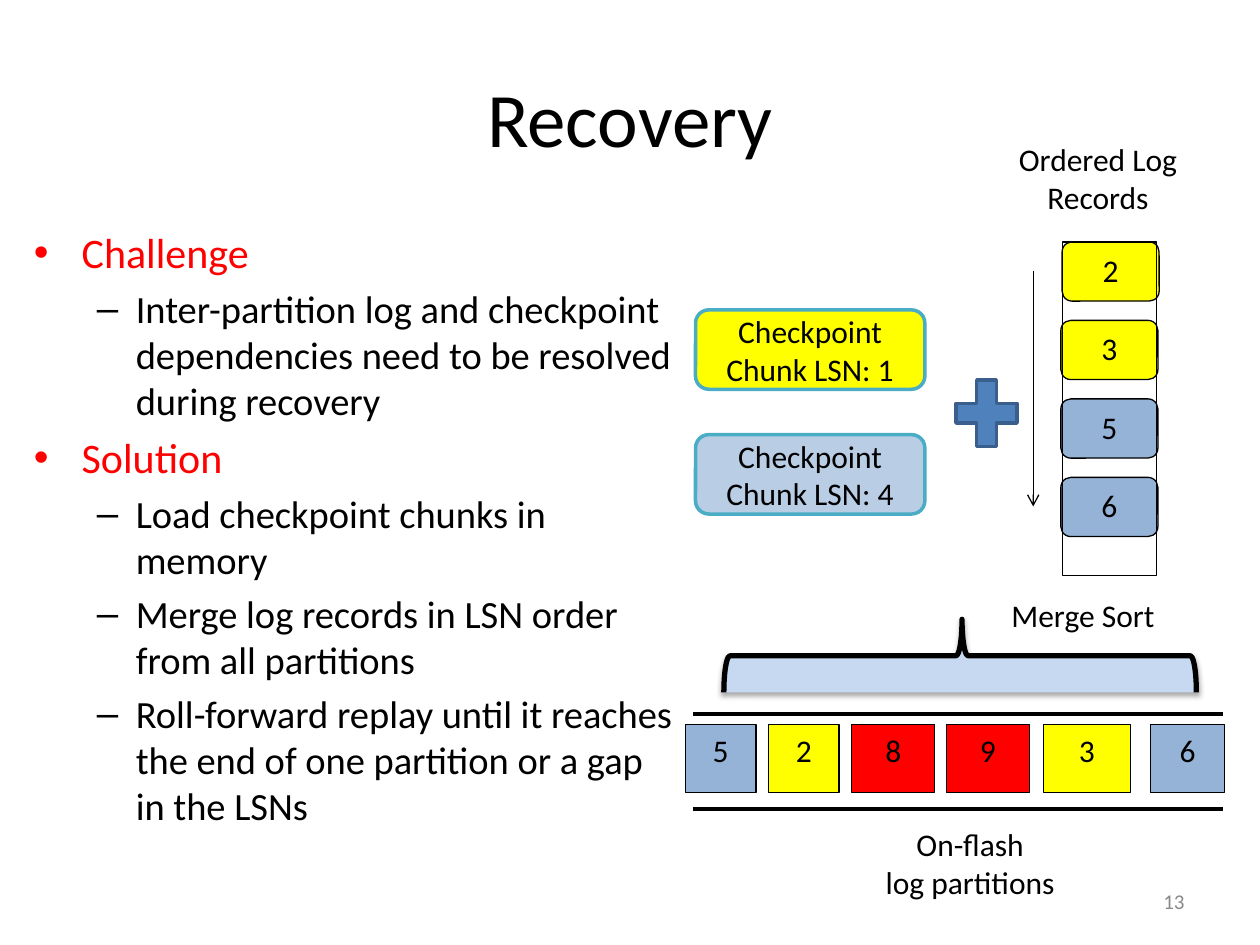
from lxml.etree import SubElement
from pptx import Presentation
from pptx.dml.color import RGBColor
from pptx.enum.shapes import MSO_CONNECTOR, MSO_SHAPE
from pptx.enum.text import MSO_ANCHOR, PP_ALIGN
from pptx.oxml.ns import qn
from pptx.util import Inches, Pt

THEME = {
    "font": "Calibri",
    "black": "000000", "red": "FF0000", "yellow": "FFFF00", "blue": "95B3D7",
    "pale": "B9CDE5", "brace": "C6D9F1", "teal": "4BACC6",
    "plus": "4F81BD", "plus_edge": "3A5F8C", "grey": "898989",
    "title": 44, "topic": 24, "point": 22, "label": 18, "number": 12,
    "thin": 0.75, "medium": 2, "rule": 2.25, "thick": 3,
}

# Content; every place is column, row, columns, rows on a 100 x 75 grid
COLUMNS, ROWS = 100, 75
OUTLINE = [
    ("Challenge", [
        "Inter-partition log and checkpoint dependencies need to be resolved during recovery"]),
    ("Solution", [
        "Load checkpoint chunks in memory",
        "Merge log records in LSN order from all partitions",
        "Roll-forward replay until it reaches the end of one partition or a gap in the LSNs"]),
]
CHECKPOINTS = [("1", "yellow"), ("4", "pale")]
ORDERED_RECORDS = [("2", "yellow", 84.3), ("3", "yellow", 84.2),
                   ("5", "blue", 84.2), ("6", "blue", 84.2)]
FLASH_RECORDS = [("5", "blue", 54.4, 5.6), ("2", "yellow", 61, 5.6),
                 ("8", "red", 67.6, 6.6), ("9", "red", 75.1, 6.6),
                 ("3", "yellow", 82.8, 6.9), ("6", "blue", 91.3, 5.9)]
LABELS = [(["Ordered Log", "Records"], (79.5, 10.6, 15.3, 7.1)),
          (["Merge Sort"], (79.2, 46.8, 13.5, 4)),
          (["On-flash", "log partitions"], (69.2, 65, 15.6, 7.1))]
FLASH_RULE_ROWS = [56.7, 64.2]

prs = Presentation()
prs.slide_width, prs.slide_height = Inches(10), Inches(7.5)
slide = prs.slides.add_slide(prs.slide_layouts[6])
shapes = slide.shapes


def grid(*lengths):
    units = (prs.slide_width / COLUMNS, prs.slide_height / ROWS)
    return [round(length * units[i % 2]) for i, length in enumerate(lengths)]


def colour(name):
    return RGBColor.from_string(THEME[name])


def apply(target, formats):
    for attribute, value in formats.items():
        setattr(target, attribute, value)


def style_run(paragraph, text, size, ink="black"):
    run = paragraph.add_run()
    run.text = text
    apply(run.font, {"name": THEME["font"], "size": Pt(THEME[size])})
    run.font.color.rgb = colour(ink)


def write(holder, lines, size="label", ink="black", align=PP_ALIGN.CENTER,
          anchor=MSO_ANCHOR.TOP, wrap=True):
    frame = holder.text_frame
    apply(frame, {"word_wrap": wrap, "vertical_anchor": anchor})
    for i, line in enumerate(lines):
        paragraph = frame.add_paragraph() if i else frame.paragraphs[0]
        paragraph.alignment = align
        style_run(paragraph, line, size, ink)


def draw(kind, place, fill=None, edge="black", weight="thin"):
    part = shapes.add_shape(kind, *grid(*place))
    part.shadow.inherit = False
    if fill:
        part.fill.solid()
        part.fill.fore_color.rgb = colour(fill)
    else:
        part.fill.background()
    part.line.color.rgb = colour(edge)
    part.line.width = Pt(THEME[weight])
    return part


def connect(start, end, weight):
    line = shapes.add_connector(MSO_CONNECTOR.STRAIGHT, *grid(*start, *end))
    line.line.color.rgb = colour("black")
    line.line.width = Pt(THEME[weight])
    SubElement(line._element.spPr, qn("a:effectLst"))
    return line


def add_bullet(paragraph, text, mark, size, ink, left, hanging):
    apply(paragraph, {"space_before": Pt(THEME[size] * 0.2)})
    props = paragraph._p.get_or_add_pPr()
    props.set("marL", str(Inches(left)))
    props.set("indent", str(-Inches(hanging)))
    SubElement(props, qn("a:buFont"), typeface="Arial")
    SubElement(props, qn("a:buChar"), char=mark)
    style_run(paragraph, text, size, ink)


# Title and slide number
write(shapes.add_textbox(*grid(5, 3, 90, 12.5)), ["Recovery"], "title",
      anchor=MSO_ANCHOR.MIDDLE)
write(shapes.add_textbox(*grid(71.7, 69.5, 23.3, 4)), ["13"], "number", "grey",
      PP_ALIGN.RIGHT, MSO_ANCHOR.MIDDLE)

# Outline
outline = shapes.add_textbox(*grid(1.7, 17.5, 53.3, 54)).text_frame
outline.word_wrap = True
for i, (topic, points) in enumerate(OUTLINE):
    heading = outline.add_paragraph() if i else outline.paragraphs[0]
    add_bullet(heading, topic, "•", "topic", "red", 0.38, 0.38)
    for point in points:
        paragraph = outline.add_paragraph()
        paragraph.level = 1
        add_bullet(paragraph, point, "–", "point", "black", 0.81, 0.31)

# Log partitions on flash, between two rules
for text, fill, column, width in FLASH_RECORDS:
    write(draw(MSO_SHAPE.RECTANGLE, (column, 57.5, width, 5.4), fill), [text])
for row in FLASH_RULE_ROWS:
    connect((55, row), (97.1, row), "rule")

# Ordered log records in their column, with the sort direction
for i, (text, fill, column) in enumerate(ORDERED_RECORDS):
    record = draw(MSO_SHAPE.ROUNDED_RECTANGLE,
                  (column, 19.2 + i * 6.23, 7.7, 4.7), fill)
    write(record, [text])
draw(MSO_SHAPE.RECTANGLE, (84.3, 19.2, 7.5, 26.5))
order_arrow = connect((82, 21.5), (82, 40.2), "thin")
SubElement(order_arrow.line._get_or_add_ln(), qn("a:tailEnd"), type="arrow")

# Brace over the partitions
brace = draw(MSO_SHAPE.LEFT_BRACE, (73.3, 33.3, 5.8, 37.5), "brace", weight="thick")
brace.rotation = 90
brace.adjustments[0], brace.adjustments[1] = 0.083, 0.496
shadow = SubElement(brace._element.spPr.find(qn("a:effectLst")), qn("a:outerShdw"),
                    blurRad=str(Pt(3.1)), dist=str(Pt(1.8)), dir="5400000",
                    rotWithShape="0")
shade = SubElement(shadow, qn("a:srgbClr"), val=THEME["black"])
SubElement(shade, qn("a:alpha"), val="35000")

# Checkpoint chunks and the plus sign
for i, (lsn, fill) in enumerate(CHECKPOINTS):
    chunk = draw(MSO_SHAPE.ROUNDED_RECTANGLE, (55.2, 24.6 + i * 9.9, 18.2, 6.3),
                 fill, "teal", "medium")
    write(chunk, ["Checkpoint", f"Chunk LSN: {lsn}"], anchor=MSO_ANCHOR.MIDDLE)
draw(MSO_SHAPE.MATH_PLUS, (75, 29.2, 6.6, 7.2), "plus", "plus_edge", "medium")

# Labels
for lines, place in LABELS:
    write(shapes.add_textbox(*grid(*place)), lines, wrap=False)

prs.save("out.pptx")
